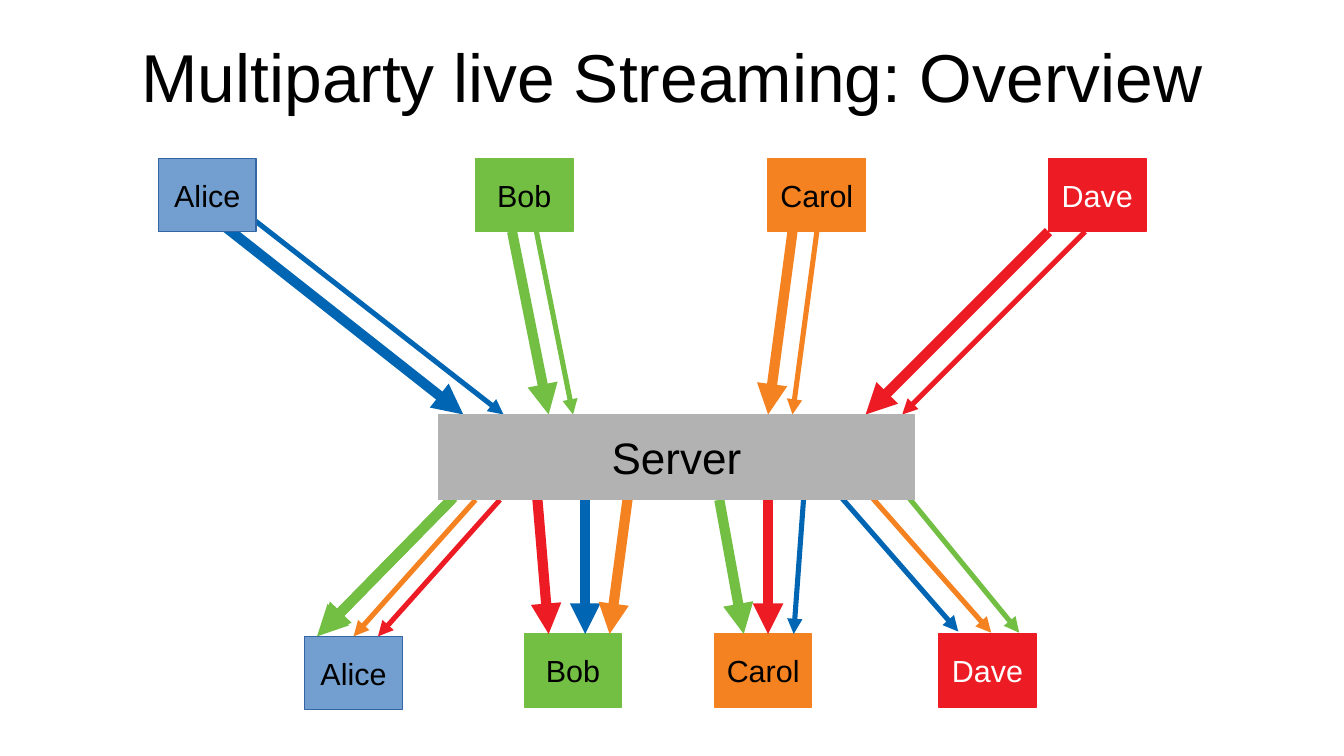
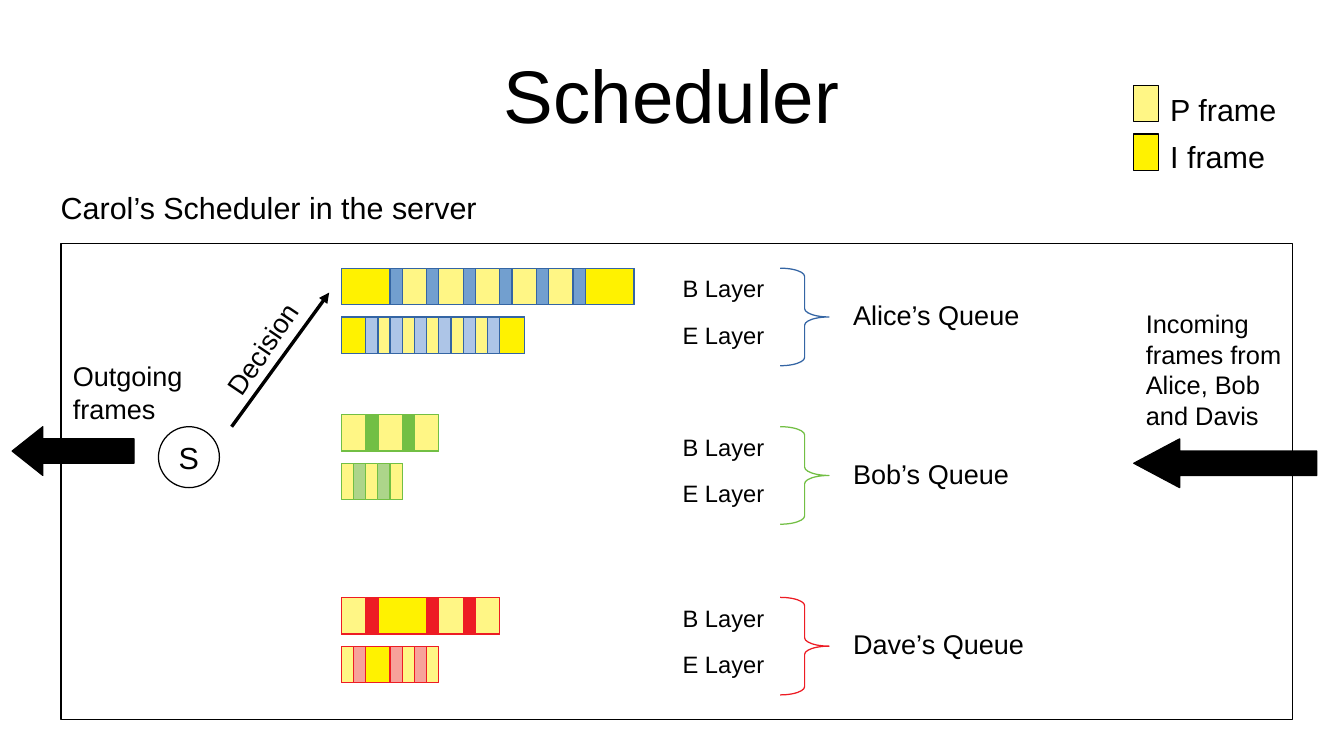
from itertools import groupby

from lxml.etree import SubElement
from pptx import Presentation
from pptx.dml.color import RGBColor
from pptx.enum.shapes import MSO_CONNECTOR as Connector, MSO_SHAPE as Preset
from pptx.enum.text import MSO_ANCHOR as Anchor, MSO_AUTO_SIZE as AutoSize, PP_ALIGN as Align
from pptx.oxml.ns import qn
from pptx.util import Cm, Pt

COLORS = {
    "black": "000000",
    "white": "FFFFFF",
    "gray": "B2B2B2",
    "blue": "0066B3",
    "green": "72BF44",
    "orange": "F58220",
    "red": "ED1C24",
    "steel": "729FCF",
    "steel edge": "3465A4",
    "pale steel": "ADC5E7",
    "pale green": "ADD58A",
    "pale red": "F7A19A",
    "I": "FFF200",
    "P": "FFF685",
}
FONT = "Arial"
GRID_CM = 2.54
THICK, THIN, HAIRLINE = 6, 3, 0
TITLE_ONLY = 5


def grid(*units):
    return [Cm(GRID_CM * unit) for unit in units]


def rgb(name):
    return RGBColor.from_string(COLORS[name])


def write(frame, text, size=18, color="black", align=Align.LEFT, anchor=Anchor.TOP,
          wrap=True, grow=False, insets=(0.1, 0.05)):
    frame.word_wrap = wrap
    frame.auto_size = AutoSize.SHAPE_TO_FIT_TEXT if grow else AutoSize.NONE
    frame.vertical_anchor = anchor
    frame.margin_left, frame.margin_top = grid(*insets)
    frame.margin_right, frame.margin_bottom = grid(*insets)
    paragraph = frame.paragraphs[0]
    paragraph.alignment = align
    run = paragraph.add_run()
    run.text = text
    run.font.name = FONT
    run.font.size = Pt(size)
    run.font.color.rgb = rgb(color)


class Deck:
    def __init__(self):
        self.presentation = Presentation()
        self.presentation.slide_width = Cm(28)
        self.presentation.slide_height = Cm(15.75)
        self.slide = None

    def add_slide(self, title, top, size):
        layout = self.presentation.slide_layouts[TITLE_ONLY]
        self.slide = self.presentation.slides.add_slide(layout)
        shape = self.slide.shapes.title
        shape.left, shape.top, shape.width, shape.height = grid(0.55, top, 9.92, 1.04)
        write(shape.text_frame, title, size=size, align=Align.CENTER,
              anchor=Anchor.MIDDLE, grow=True, insets=(0, 0))

    def shape(self, box, fill, edge=None, preset=Preset.RECTANGLE, adjustments=(),
              text="", **text_format):
        shape = self.slide.shapes.add_shape(preset, *grid(*box))
        shape.shadow.inherit = False
        if fill:
            shape.fill.solid()
            shape.fill.fore_color.rgb = rgb(fill)
        else:
            shape.fill.background()
        shape.line.color.rgb = rgb(edge or fill)
        shape.line.width = Pt(HAIRLINE)
        for index, value in enumerate(adjustments):
            shape.adjustments[index] = value
        if text:
            write(shape.text_frame, text, align=Align.CENTER, anchor=Anchor.MIDDLE,
                  wrap=False, **text_format)

    def label(self, text, box, size=18, rotation=0):
        shape = self.slide.shapes.add_textbox(*grid(*box))
        shape.rotation = rotation
        write(shape.text_frame, text, size=size, grow=True)

    def arrow(self, color, width, start, end):
        connector = self.slide.shapes.add_connector(
            Connector.STRAIGHT, *grid(*start, *end))
        connector.line.color.rgb = rgb(color)
        connector.line.width = Pt(width)
        properties = connector._element.spPr
        SubElement(properties.find(qn("a:ln")), qn("a:tailEnd"), type="triangle")
        SubElement(properties, qn("a:effectLst"))

    def frame_lane(self, pattern, left, top, fill, edge):
        self.shape((left, top, len(pattern) / 10, 0.3), fill, edge)
        for kind, cells in groupby(pattern):
            width = len(list(cells)) / 10
            if kind != ".":
                self.shape((left, top, width, 0.3), kind, edge)
            left += width


def build_overview(deck):
    deck.add_slide("Multiparty live Streaming: Overview", top=0.1, size=40)
    for arrow in (
        ("blue", THICK, (1.72, 1.76), (3.8, 3.4)),
        ("blue", THIN, (1.9, 1.66), (4.13, 3.4)),
        ("green", THICK, (4.2, 1.9), (4.5, 3.4)),
        ("green", THIN, (4.4, 1.9), (4.7, 3.4)),
        ("orange", THICK, (6.5, 1.9), (6.3, 3.4)),
        ("orange", THIN, (6.7, 1.9), (6.5, 3.4)),
    ):
        deck.arrow(*arrow)

    for name, fill, edge, color, sender, receiver in (
        ("Bob", "green", "green", "black", (3.9, 1.3), (4.3, 5.2)),
        ("Carol", "orange", "orange", "black", (6.3, 1.3), (5.86, 5.2)),
        ("Dave", "red", "red", "white", (8.6, 1.3), (7.7, 5.2)),
        ("Alice", "steel", "steel edge", "black", (1.3, 1.3), (2.5, 5.22)),
    ):
        for corner in (sender, receiver):
            deck.shape((*corner, 0.8, 0.6), fill, edge, text=name, color=color)

    for arrow in (
        ("green", THICK, (3.7, 4.1), (2.6, 5.22)),
        ("orange", THIN, (3.9, 4.1), (2.9, 5.22)),
        ("red", THIN, (8.9, 1.9), (7.4, 3.4)),
        ("red", THICK, (8.6, 1.9), (7.1, 3.4)),
        ("red", THIN, (4.1, 4.1), (3.1, 5.22)),
        ("green", THICK, (3.72, 4.08), (2.62, 5.2)),
        ("green", THIN, (7.46, 4.09), (8.36, 5.19)),
        ("orange", THIN, (7.16, 4.09), (8.13, 5.19)),
        ("green", THICK, (5.9, 4.1), (6.1, 5.2)),
        ("red", THICK, (4.4, 4), (4.5, 5.2)),
        ("red", THICK, (6.3, 4.1), (6.3, 5.2)),
        ("blue", THIN, (6.6, 3.97), (6.51, 5.2)),
        ("blue", THIN, (6.9, 4.08), (7.86, 5.18)),
        ("blue", THICK, (4.8, 4), (4.8, 5.2)),
        ("orange", THICK, (5.2, 3.7), (5, 5.2)),
    ):
        deck.arrow(*arrow)
    deck.shape((3.6, 3.4, 3.9, 0.7), "gray", text="Server", size=26)


def build_scheduler(deck):
    deck.add_slide("Scheduler", top=0.25, size=44)
    for kind, top, label_top in (("P", 0.7, 0.7), ("I", 1.1, 1.08)):
        deck.shape((9.3, top, 0.2, 0.3), kind, "black")
        deck.label(f"{kind} frame", (9.5, label_top, 1.1, 0.38))

    for name, lane_top, brace_top, fill, pale, edge, base, enhancement in (
        ("Alice", 2.2, 2.2, "steel", "pale steel", "steel edge",
         "IIII.PP.PP.PP.PP.PP.IIII", "II.P.P.P.P.P.II"),
        ("Bob", 3.4, 3.5, "green", "pale green", "green", "PP.PP.PP", "P.P.P"),
        ("Dave", 4.9, 4.9, "red", "pale red", "red", "PP.IIII.PP.PP", "P.II.P.P"),
    ):
        deck.frame_lane(base, 2.8, lane_top, fill, edge)
        deck.frame_lane(enhancement, 2.8, lane_top + 0.4, pale, edge)
        deck.label("B Layer", (5.5, brace_top, 1.1, 0.32), size=14)
        deck.label("E Layer", (5.5, brace_top + 0.38, 1.1, 0.32), size=14)
        deck.shape((6.4, brace_top, 0.4, 0.8), None, edge, Preset.RIGHT_BRACE, (0.17, 0.5))
        deck.label(f"{name}’s Queue", (6.9, brace_top + 0.2, 1.9, 0.35), size=16)

    deck.shape((1.3, 3.5, 0.5, 0.5), "white", "black", Preset.OVAL, text="S")
    deck.arrow("black", HAIRLINE, (1.9, 3.5), (2.7, 2.4))
    deck.label("Decision", (1.58, 2.3, 1.8, 0.66), size=16, rotation=304)
    deck.shape((0.1, 3.5, 1, 0.4), "black", preset=Preset.LEFT_ARROW, adjustments=(0.5, 0.63))
    deck.label("Outgoing frames", (0.5, 2.9, 1.1, 0.6), size=16)
    deck.shape((9.3, 3.6, 1.5, 0.4), "black", preset=Preset.LEFT_ARROW, adjustments=(0.5, 0.94))
    deck.label("Incoming frames from Alice, Bob and Davis", (9.3, 2.48, 1.5, 1.02), size=15)
    deck.shape((0.5, 2, 10.1, 3.9), None, "black")
    deck.label("Carol’s Scheduler in the server", (0.4, 1.5, 3.8, 0.4))


def main():
    deck = Deck()
    build_overview(deck)
    build_scheduler(deck)
    deck.presentation.save("out.pptx")


if __name__ == "__main__":
    main()
